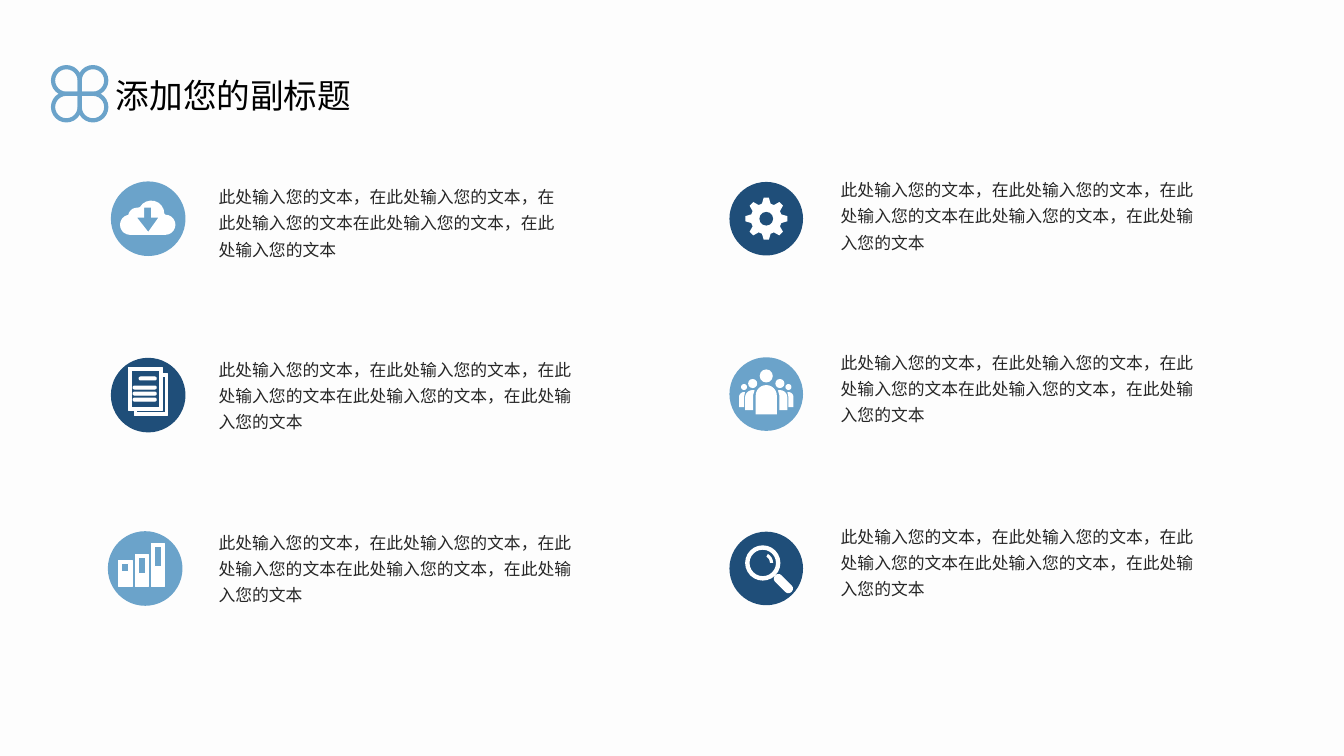
import math

import pptx
import pptx.dml.color
import pptx.enum.shapes
import pptx.enum.text
import pptx.util

Inches = pptx.util.Inches
SHAPE = pptx.enum.shapes.MSO_SHAPE
FONT = "Noto Sans CJK SC"
SKY, NAVY, WHITE = "6BA3CA", "1F4E79", "FFFFFF"
BODY = "此处输入您的文本，在此处输入您的文本，在此处输入您的文本在此处输入您的文本，在此处输入您的文本"


def colour(value):
    return pptx.dml.color.RGBColor.from_string(value)


def paint(shape, fill=None, line=None, width=0.75):
    shape.shadow.inherit = False
    for part, value in ((shape.fill, fill), (shape.line.fill, line)):
        if value:
            part.solid()
            part.fore_color.rgb = colour(value)
        else:
            part.background()
    if line:
        shape.line.width = pptx.util.Pt(width)


def arc(x, y, radius, start, end):
    """Points along an arc; angles in degrees, clockwise from the right."""
    steps = max(1, round(abs(end - start) / 18))
    angles = [math.radians(start + (end - start) * i / steps) for i in range(steps + 1)]
    return [(x + radius * math.cos(a), y + radius * math.sin(a)) for a in angles]


def rectangle(left, top, right, bottom):
    return [(left, top), (right, top), (right, bottom), (left, bottom)]


def outline(shapes, centre, contours, line=None):
    """Draw white contours, given in hundredths of an inch around a centre."""
    paths = [[(Inches(centre[0] + x / 100), Inches(centre[1] + y / 100)) for x, y in contour]
             for contour in contours]
    builder = shapes.build_freeform(*paths[0][0])
    for number, points in enumerate(paths):
        if number:
            builder.move_to(*points[0])
        builder.add_line_segments(points[1:], close=True)
    paint(builder.convert_to_shape(), WHITE, line)


def preset(shapes, centre, kind, x, y, size, adjust=(), turn=0, **style):
    """Place a preset shape by its middle, in hundredths of an inch around a centre."""
    width, height = size
    left, top = centre[0] + (x - width / 2) / 100, centre[1] + (y - height / 2) / 100
    shape = shapes.add_shape(kind, Inches(left), Inches(top),
                             Inches(width / 100), Inches(height / 100))
    for number, value in enumerate(adjust):
        shape.adjustments[number] = value
    shape.rotation = turn
    paint(shape, **style)


def cloud(shapes, centre):
    edge = (arc(17, 6, 10, 90, -90) + arc(3, -5, 13, 0, -150)
            + arc(-11, -2, 9, -85, -170) + arc(-18, 6, 10, -105, -270))
    arrow = [(0, 13), (-11, -1), (-4, -1), (-4, -11), (3, -11), (3, -1), (10, -1)]
    outline(shapes, centre, [edge, arrow])


def gear(shapes, centre):
    teeth = [arc(0, 0, radius, 45 * tooth + turn, 45 * tooth + turn)[0]
             for tooth in range(8)
             for radius, turn in ((15.5, -16), (21, -7), (21, 7), (15.5, 16))]
    outline(shapes, centre, [teeth])
    preset(shapes, centre, SHAPE.OVAL, 0, 0, (13.6, 13.6), fill=NAVY)


def document(shapes, centre):
    back = [(14, -21), (19, -21), (19, 20), (-14, 20), (-14, 15),
            (-12, 15), (-12, 17), (17, 17), (17, -18), (14, -18)]
    sheet = [rectangle(-20, -27, 14, 15), rectangle(-17, -24, 11, 12)]
    outline(shapes, centre, sheet + [back], WHITE)
    for y, width in ((-16.5, 17), (-7.5, 23), (-1.5, 23), (4.5, 23)):
        preset(shapes, centre, SHAPE.ROUNDED_RECTANGLE, 8 - width / 2, y, (width, 3),
               (0.5,), fill=WHITE, line=WHITE)


def people(shapes, centre):
    preset(shapes, centre, SHAPE.ROUND_2_SAME_RECTANGLE, 0, 5.5, (21, 29), (0.5, 0), fill=WHITE)
    inner = [(-13, 16), (-21, 16)] + arc(-13.5, 3.5, 7.5, 180, 285) + [(-13, 1)]
    outer = [(-22, 13), (-27, 13)] + arc(-22, 3, 5, 180, 270) + [(-21, -2), (-22, 3)]
    for side in (1, -1):
        outline(shapes, centre, [[(side * x, y) for x, y in part] for part in (inner, outer)])
    for x, y, size in ((0, -18, 13), (-13.5, -10.5, 9), (13.5, -10.5, 9), (-22, -7, 6), (22, -7, 6)):
        preset(shapes, centre, SHAPE.OVAL, x, y, (size, size), fill=WHITE)


def binders(shapes, centre):
    for left, top, label in ((-26, -8, 3), (-10, -14, 5), (6, -25, -2)):
        outline(shapes, centre, [rectangle(left, top, left + 13, 18),
                                 rectangle(left + 3, top + 3, left + 10, label)], WHITE)


def lens(shapes, centre):
    preset(shapes, centre, SHAPE.ROUNDED_RECTANGLE, 17, 15, (23, 9), (0.45,), 45, fill=WHITE)
    preset(shapes, centre, SHAPE.DONUT, -3.5, -5.5, (35, 35), (0.125,), fill=WHITE)
    preset(shapes, centre, SHAPE.BLOCK_ARC, -3.5, -5.5, (20.6, 20.6), (180, -90, 0.145), fill=WHITE)


def badge(page, centre, size, fill, icon):
    shapes = page.shapes.add_group_shape().shapes
    preset(shapes, centre, SHAPE.OVAL, 0, 0, (size, size), fill=fill)
    icon(shapes, centre)


def clover(page):
    shapes = page.shapes.add_group_shape().shapes
    corners = ((-1, 1), (-1, -1), (1, -1), (1, 1))
    for quarter, (x, y) in enumerate(corners):
        preset(shapes, (0.79, 0.93), SHAPE.TEAR, 13.2 * x, 13.2 * y, (26.4, 26.4),
               turn=90 * quarter, line=SKY, width=3)


def write(box, text, size, ink, **para_format):
    box.text_frame.vertical_anchor = pptx.enum.text.MSO_ANCHOR.MIDDLE
    para = box.text_frame.paragraphs[0]
    for name, value in para_format.items():
        setattr(para, name, value)
    span = para.add_run()
    span.text = text
    for name, value in {"size": pptx.util.Pt(size), "name": FONT}.items():
        setattr(span.font, name, value)
    span.font.color.rgb = colour(ink)


def title(page):
    box = page.shapes.title
    place = {"left": 1.05, "top": 0.69, "width": 2.72, "height": 0.5}
    for name, value in place.items():
        setattr(box, name, Inches(value))
    write(box, "添加您的副标题", 24, "000000", alignment=pptx.enum.text.PP_ALIGN.LEFT)


def body(page, left, top, width):
    box = page.shapes.add_textbox(*map(Inches, (left, top, width, 0.91)))
    box.text_frame.word_wrap = True
    write(box, BODY, 12, "262626", line_spacing=1.3)


def main():
    deck = pptx.Presentation()
    deck.slide_width, deck.slide_height = Inches(13.33), Inches(7.5)
    page = deck.slides.add_slide(deck.slide_layouts[5])
    page.background.fill.solid()
    page.background.fill.fore_color.rgb = colour("FDFDFD")
    title(page)
    clover(page)

    badge(page, (1.47, 2.17), 74, SKY, cloud)
    badge(page, (1.47, 3.92), 74, NAVY, document)
    badge(page, (1.44, 5.64), 74, SKY, binders)
    badge(page, (7.6, 2.17), 73, NAVY, gear)
    badge(page, (7.6, 3.91), 73, SKY, people)
    badge(page, (7.6, 5.64), 73, NAVY, lens)

    for top, width in ((1.73, 3.69), (3.44, 3.85), (5.16, 3.8)):
        body(page, 2.07, top, width)
    for top in (1.66, 3.37, 5.1):
        body(page, 8.24, top, 3.86)
    deck.save("out.pptx")


if __name__ == "__main__":
    main()
